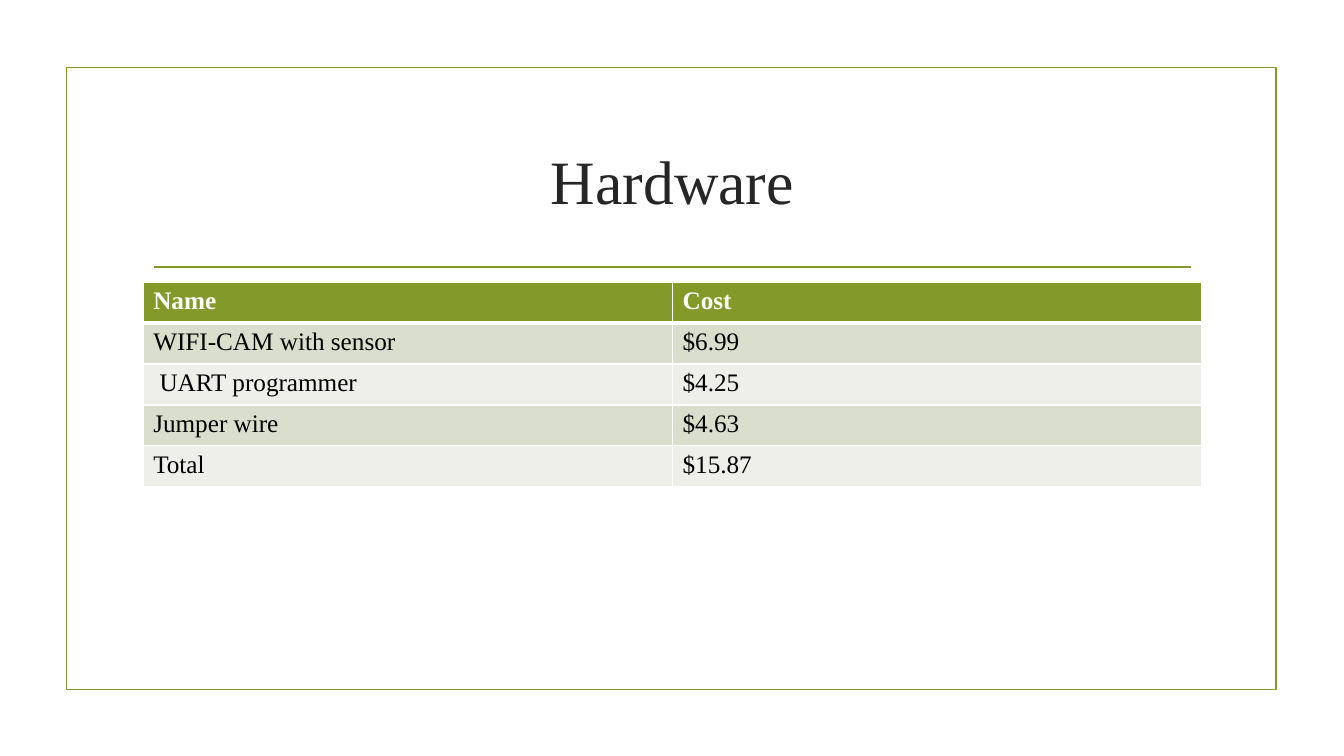
from lxml.etree import SubElement
from pptx import Presentation
from pptx.dml.color import RGBColor
from pptx.enum.shapes import MSO_CONNECTOR, MSO_SHAPE
from pptx.enum.text import MSO_ANCHOR, PP_ALIGN
from pptx.oxml.ns import qn
from pptx.util import Inches, Pt

TITLE = "Hardware"
PARTS = [
    ("Name", "Cost"),
    ("WIFI-CAM with sensor", "$6.99"),
    (" UART programmer", "$4.25"),
    ("Jumper wire", "$4.63"),
    ("Total", "$15.87"),
]
COLORS = {
    "green": "83992A",
    "title": "262626",
    "white": "FFFFFF",
    "black": "000000",
    "band_dark": "D9DECD",
    "band_light": "EDEFE8",
}
FONT = "Times New Roman"
LEFT, WIDTH = 1.42, 10.5
TABLE_TOP, TABLE_HEIGHT = 2.8, 2.03


def color(name):
    return RGBColor.from_string(COLORS[name])


def style_font(font, size, color_name, bold=False):
    font.name = FONT
    font.size = Pt(size)
    font.bold = bold
    font.color.rgb = color(color_name)


def style_line(line):
    line.color.rgb = color("green")
    line.width = Pt(1.25)


def add_borders(cell, widths):
    properties = cell._tc.get_or_add_tcPr()
    for side, width in widths.items():
        border = SubElement(properties, qn(f"a:ln{side}"), w=str(Pt(width)))
        border_fill = SubElement(border, qn("a:solidFill"))
        SubElement(border_fill, qn("a:srgbClr"), val=COLORS["white"])


prs = Presentation()
prs.slide_width = Inches(13.33)
prs.slide_height = Inches(7.5)
slide = prs.slides.add_slide(prs.slide_layouts[5])

frame = slide.shapes.add_shape(
    MSO_SHAPE.RECTANGLE, Inches(0.66), Inches(0.67), Inches(12), Inches(6.17))
frame.shadow.inherit = False
frame.fill.background()
style_line(frame.line)

divider = slide.shapes.add_connector(
    MSO_CONNECTOR.STRAIGHT, Inches(1.53), Inches(2.65), Inches(11.81), Inches(2.65))
SubElement(divider._element.spPr, qn("a:effectLst"))
style_line(divider.line)

title = slide.shapes.title
title.left, title.top = Inches(LEFT), Inches(1.07)
title.width, title.height = Inches(WIDTH), Inches(1.43)
title.text_frame.text = TITLE
title.text_frame.vertical_anchor = MSO_ANCHOR.MIDDLE
heading = title.text_frame.paragraphs[0]
heading.alignment = PP_ALIGN.CENTER
style_font(heading.runs[0].font, 44, "title")

costs = slide.shapes.add_table(
    len(PARTS), len(PARTS[0]), Inches(LEFT), Inches(TABLE_TOP),
    Inches(WIDTH), Inches(TABLE_HEIGHT)).table
for column in costs.columns:
    column.width = Inches(WIDTH / len(PARTS[0]))

for row_index, part in enumerate(PARTS):
    costs.rows[row_index].height = Inches(TABLE_HEIGHT / len(PARTS))
    header = row_index == 0
    band = "green" if header else "band_dark" if row_index % 2 else "band_light"
    widths = {"L": 1, "R": 1, "T": 3 if row_index == 1 else 1, "B": 3 if header else 1}
    for column_index, value in enumerate(part):
        cell = costs.cell(row_index, column_index)
        add_borders(cell, widths)
        cell.fill.solid()
        cell.fill.fore_color.rgb = color(band)
        cell.text_frame.text = value
        style_font(cell.text_frame.paragraphs[0].runs[0].font, 18,
                   "white" if header else "black", header)

prs.save("out.pptx")
